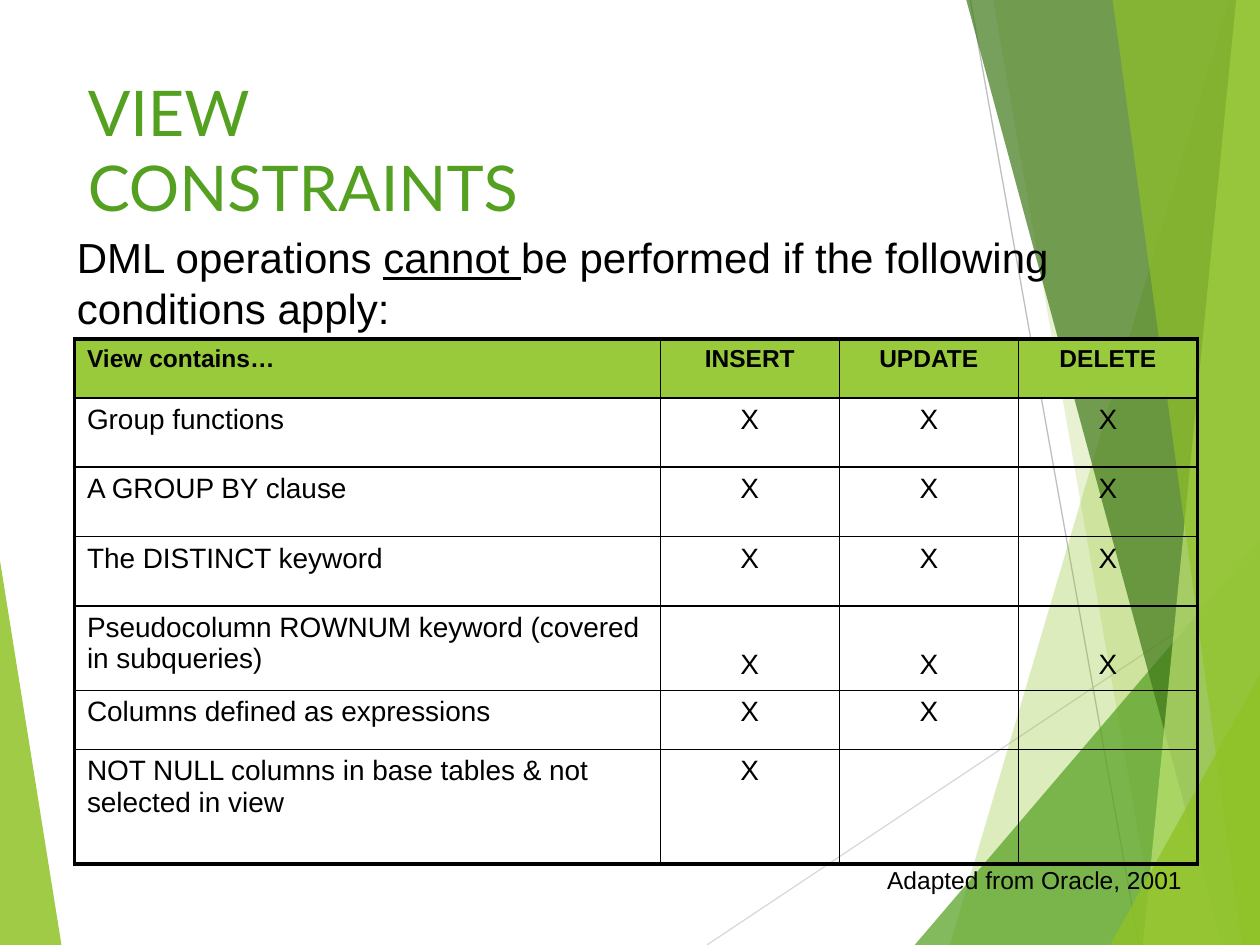
from lxml.etree import SubElement
from pptx import Presentation
from pptx.dml.color import RGBColor
from pptx.enum.shapes import MSO_CONNECTOR
from pptx.enum.text import MSO_ANCHOR, PP_ALIGN
from pptx.oxml.ns import qn
from pptx.util import Cm, Pt

COLORS = {
    "text": "000000",
    "title": "54A021",
    "header": "99CA3C",
    "lime": "90C226",
    "green": "54A021",
    "forest": "3F7819",
    "pale": "C0E474",
    "line_light": "D9D9D9",
    "line_mid": "BFBFBF",
}
W, H = 25.4, 19.05
BODY = {"name": "Arial", "size": Pt(24)}
TITLE = {"name": "Lato", "size": Pt(36)}
CAPTION = {"name": "Arial", "size": Pt(14)}
HEAD = {"name": "Arial", "size": Pt(14), "bold": True}
CELL = {"name": "Arial", "size": Pt(16), "bold": False}


class Deck:
    def __init__(self):
        self.prs = Presentation()
        self.prs.slide_width, self.prs.slide_height = Cm(W), Cm(H)
        self.s = self.prs.slides.add_slide(self.prs.slide_layouts[6])

    def color(self, name):
        return RGBColor.from_string(COLORS[name])

    def facet(self, points, color, alpha):
        pts = [(Cm(x), Cm(y)) for x, y in points]
        fb = self.s.shapes.build_freeform(*pts[0])
        fb.add_line_segments(pts[1:], close=True)
        sp = fb.convert_to_shape()
        sp.shadow.inherit = False
        sp.fill.solid()
        sp.fill.fore_color.rgb = self.color(color)
        sp.line.fill.background()
        clr = sp.fill._xPr.find(qn("a:solidFill"))[0]
        SubElement(clr, qn("a:alpha"), val=str(alpha * 1000))

    def line(self, x1, y1, x2, y2, color):
        cn = self.s.shapes.add_connector(
            MSO_CONNECTOR.STRAIGHT, Cm(x1), Cm(y1), Cm(x2), Cm(y2))
        cn.line.width = Pt(0.75)
        cn.line.color.rgb = self.color(color)
        SubElement(cn._element.spPr, qn("a:effectLst"))

    def run(self, p, text, fmt, color="text"):
        r = p.add_run()
        r.text = text
        for key, value in fmt.items():
            setattr(r.font, key, value)
        r.font.color.rgb = self.color(color)

    def text(self, box, paragraphs, fmt, color="text", align=PP_ALIGN.LEFT):
        sp = self.s.shapes.add_textbox(*map(Cm, box))
        tf = sp.text_frame
        tf.word_wrap = True
        for i, runs in enumerate(paragraphs):
            p = tf.add_paragraph() if i else tf.paragraphs[0]
            p.alignment = align
            for text, extra in runs:
                self.run(p, text, fmt | extra, color)

    def border(self, cell, side, width):
        ln = SubElement(cell._tc.get_or_add_tcPr(), qn(f"a:ln{side}"), w=str(Pt(width)))
        fill = SubElement(ln, qn("a:solidFill"))
        SubElement(fill, qn("a:srgbClr"), val=COLORS["text"])

    def table(self, left, top, widths, heights, rows):
        last_row, last_col = len(rows) - 1, len(widths) - 1
        frame = self.s.shapes.add_table(
            len(rows), len(widths), Cm(left), Cm(top), Cm(sum(widths)), Cm(sum(heights)))
        tbl = frame.table
        tbl.first_row = tbl.horz_banding = False
        for col, width in zip(tbl.columns, widths):
            col.width = Cm(width)
        for row, height in zip(tbl.rows, heights):
            row.height = Cm(height)
        for i, values in enumerate(rows):
            for j, value in enumerate(values):
                cell = tbl.cell(i, j)
                outer = {"L": j == 0, "R": j == last_col, "T": i == 0, "B": i == last_row}
                for side, is_outer in outer.items():
                    self.border(cell, side, 2.25 if is_outer else 1)
                if i == 0:
                    cell.fill.solid()
                    cell.fill.fore_color.rgb = self.color("header")
                else:
                    cell.fill.background()
                cell.vertical_anchor = MSO_ANCHOR.TOP
                p = cell.text_frame.paragraphs[0]
                p.alignment = PP_ALIGN.CENTER if j else PP_ALIGN.LEFT
                if value:
                    self.run(p, value, CELL if i else HEAD)
        return tbl


def right_band(top_x, bottom_x):
    return [(top_x, 0), (bottom_x, H), (W, H), (W, 0)]


def right_corner(bottom_x, right_y):
    return [(bottom_x, H), (W, right_y), (W, H)]


def main():
    deck = Deck()
    deck.facet([(0, 11.3), (1.24, H), (0, H)], "lime", 85)
    deck.line(14.25, H, W, 11.62, "line_light")
    deck.line(19.56, 0, 22.96, H, "line_mid")
    for points, color, alpha in [
        (right_band(24.77, 19.15), "lime", 30),
        (right_band(20.02, 23.34), "lime", 20),
        (right_corner(18.44, 10.9), "green", 72),
        (right_band(19.48, 24.64), "forest", 70),
        (right_band(24.92, 23.04), "pale", 70),
        (right_band(22.43, 25.04), "lime", 65),
        (right_corner(22.38, 13.6), "lime", 80),
    ]:
        deck.facet(points, color, alpha)

    constraints = [
        ("Group functions", 3),
        ("A GROUP BY clause", 3),
        ("The DISTINCT keyword", 3),
        ("Pseudocolumn ROWNUM keyword (covered in subqueries)", 3),
        ("Columns defined as expressions", 2),
        ("NOT NULL columns in base tables & not selected in view", 1),
    ]
    rows = [["View contains…", "INSERT", "UPDATE", "DELETE"]]
    rows += [[name] + ["X"] * n + [""] * (3 - n) for name, n in constraints]
    tbl = deck.table(1.5, 6.83, [11.81] + [3.61] * 3,
                     [1.19, 1.4, 1.4, 1.4, 1.7, 1.19, 2.31], rows)
    for j in range(1, 4):
        tbl.cell(4, j).margin_top = Cm(0.87)

    deck.text((1.3, 4.55, 20.55, 2.31), [
        [("DML operations ", {}), ("cannot ", {"underline": True}),
         ("be performed if the following", {})],
        [("conditions apply:", {})],
    ], BODY)
    deck.text((17.2, 17.32, 6.88, 0.86), [[("Adapted from Oracle, 2001", {})]],
              CAPTION, align=PP_ALIGN.RIGHT)
    deck.text((1.52, 1.35, 12.04, 1.8), [[("VIEW CONSTRAINTS", {})]], TITLE, "title")
    deck.prs.save("out.pptx")


if __name__ == "__main__":
    main()
